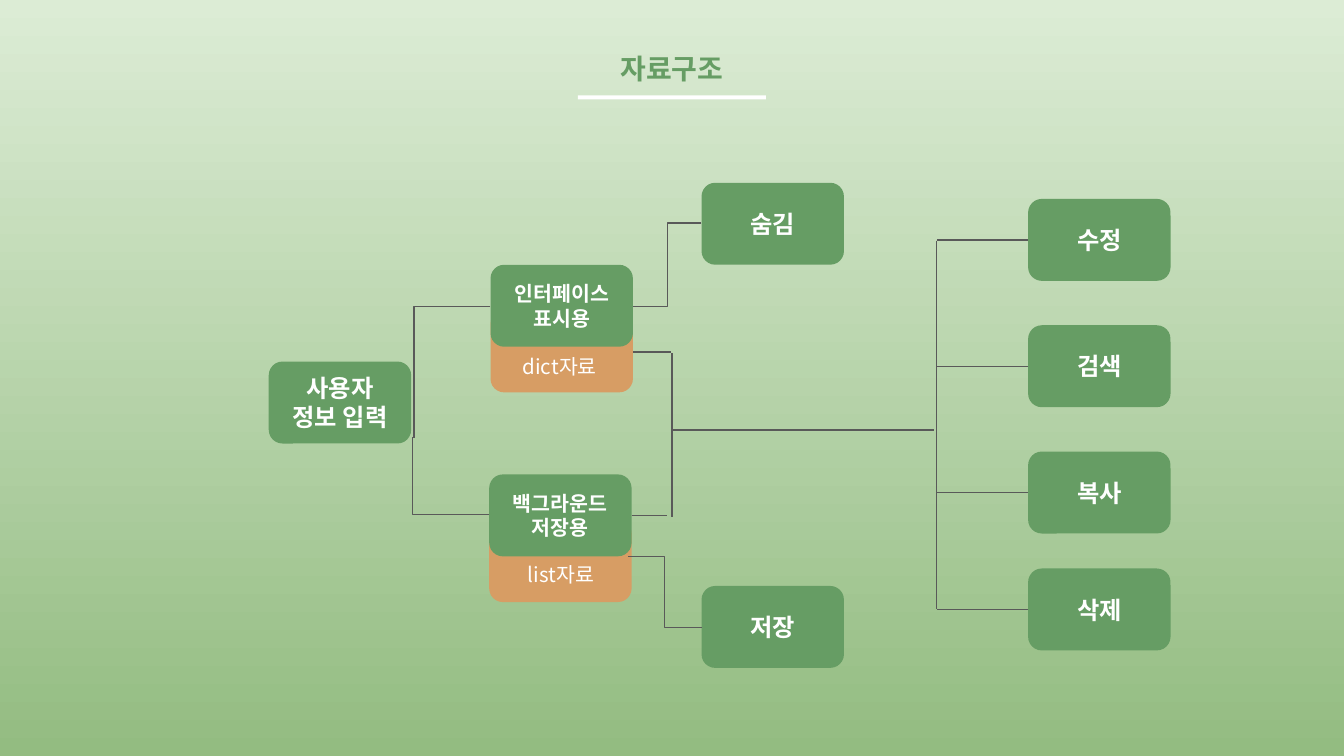
from lxml.etree import SubElement
from pptx import Presentation
from pptx.dml.color import RGBColor
from pptx.enum.shapes import MSO_CONNECTOR, MSO_SHAPE
from pptx.enum.text import MSO_ANCHOR, PP_ALIGN
from pptx.oxml.ns import qn
from pptx.util import Inches, Pt

FONT = "Noto Sans CJK KR"
GREEN, ORANGE, WHITE, GRAY = "669D64", "D79D64", "FFFFFF", "595959"
NODE_WIDTH, NODE_HEIGHT = 1.06, 0.61


def color(value):
    return RGBColor.from_string(value)


def write(shape, text, size, ink, bold):
    frame = shape.text_frame
    frame.text = text
    frame.word_wrap = True
    frame.margin_left = frame.margin_right = Inches(0.1)
    frame.margin_top = frame.margin_bottom = Inches(0.1)
    for para in frame.paragraphs:
        para.alignment = PP_ALIGN.CENTER
        for span in para.runs:
            span.font.name = FONT
            span.font.size = Pt(size)
            span.font.bold = bold
            span.font.color.rgb = color(ink)
            SubElement(span.font._element, qn("a:ea")).set("typeface", FONT)


deck = Presentation()
deck.slide_width = Inches(10)
deck.slide_height = deck.slide_width * 9 // 16
page = deck.slides.add_slide(deck.slide_layouts[6])

background = page.background.fill
background.gradient()
background.gradient_angle = 270
for stop, (position, value) in zip(background.gradient_stops, [(0, "DCECD5"), (1, "93BC81")]):
    stop.position = position
    stop.color.rgb = color(value)

title = page.shapes.add_textbox(Inches(4.29), Inches(0.28), Inches(1.42), Inches(0.45))
write(title, "자료구조", 15, GREEN, True)

underline = page.shapes.add_shape(
    MSO_SHAPE.RECTANGLE, Inches(4.3), Inches(0.71), Inches(1.4), Inches(0.03)
)
underline.shadow.inherit = False
underline.fill.solid()
underline.fill.fore_color.rgb = color(WHITE)
underline.line.fill.background()

nodes = {}
for text, left, top, size, fill in [
    ("사용자\n정보 입력", 2, 2.69, 13, GREEN),
    ("수정", 7.65, 1.48, 13, GREEN),
    ("검색", 7.65, 2.42, 13, GREEN),
    ("복사", 7.65, 3.36, 13, GREEN),
    ("삭제", 7.65, 4.23, 13, GREEN),
    ("숨김", 5.22, 1.36, 13, GREEN),
    ("저장", 5.22, 4.36, 13, GREEN),
    ("", 3.65, 2.31, 11, ORANGE),
    ("인터페이스 표시용", 3.65, 1.97, 11, GREEN),
    ("", 3.64, 3.87, 11, ORANGE),
    ("백그라운드 저장용", 3.64, 3.53, 11, GREEN),
]:
    node = page.shapes.add_shape(
        MSO_SHAPE.ROUNDED_RECTANGLE,
        Inches(left), Inches(top), Inches(NODE_WIDTH), Inches(NODE_HEIGHT),
    )
    node.shadow.inherit = False
    node.fill.solid()
    node.fill.fore_color.rgb = color(fill)
    node.line.fill.background()
    if text:
        node.text_frame.vertical_anchor = MSO_ANCHOR.MIDDLE
        write(node, text, size, WHITE, True)
        nodes[text] = node

for text, left, top in [("dict자료", 3.76, 2.54), ("list자료", 3.77, 4.09)]:
    label = page.shapes.add_textbox(Inches(left), Inches(top), Inches(0.81), Inches(0.39))
    write(label, text, 11, WHITE, False)

links = [
    ("bentConnector2", 3.64, 3.83, 3.07, 3.25, None),
    ("bentConnector2", 3.65, 2.28, 3.08, 3.26, None),
    ("bentConnector3", 5.22, 1.66, 4.71, 2.28, None),
    ("bentConnector3", 5.22, 4.67, 4.67, 4.14, None),
    ("line", 4.71, 2.62, 4.99, 2.62, None),
    ("line", 4.7, 3.83, 4.96, 3.83, ("백그라운드 저장용", 3)),
    ("line", 5, 2.63, 5, 3.85, None),
    ("line", 5.01, 3.2, 6.95, 3.2, None),
    ("line", 6.97, 1.79, 6.97, 4.53, None),
]
for text, middle in [("수정", 1.78), ("검색", 2.72), ("복사", 3.66), ("삭제", 4.53)]:
    links.append(("line", 7.65, middle, 6.97, middle, (text, 1)))

for preset, x1, y1, x2, y2, joint in links:
    kind = MSO_CONNECTOR.STRAIGHT if preset == "line" else MSO_CONNECTOR.ELBOW
    link = page.shapes.add_connector(kind, Inches(x1), Inches(y1), Inches(x2), Inches(y2))
    link.line.color.rgb = color(GRAY)
    link.line.width = Pt(0.75)
    properties = link._element.spPr
    properties.find(qn("a:prstGeom")).set("prst", preset)
    SubElement(properties, qn("a:effectLst"))
    if joint:
        text, side = joint
        link.begin_connect(nodes[text], side)
        link.end_y = link.begin_y

deck.save("out.pptx")
